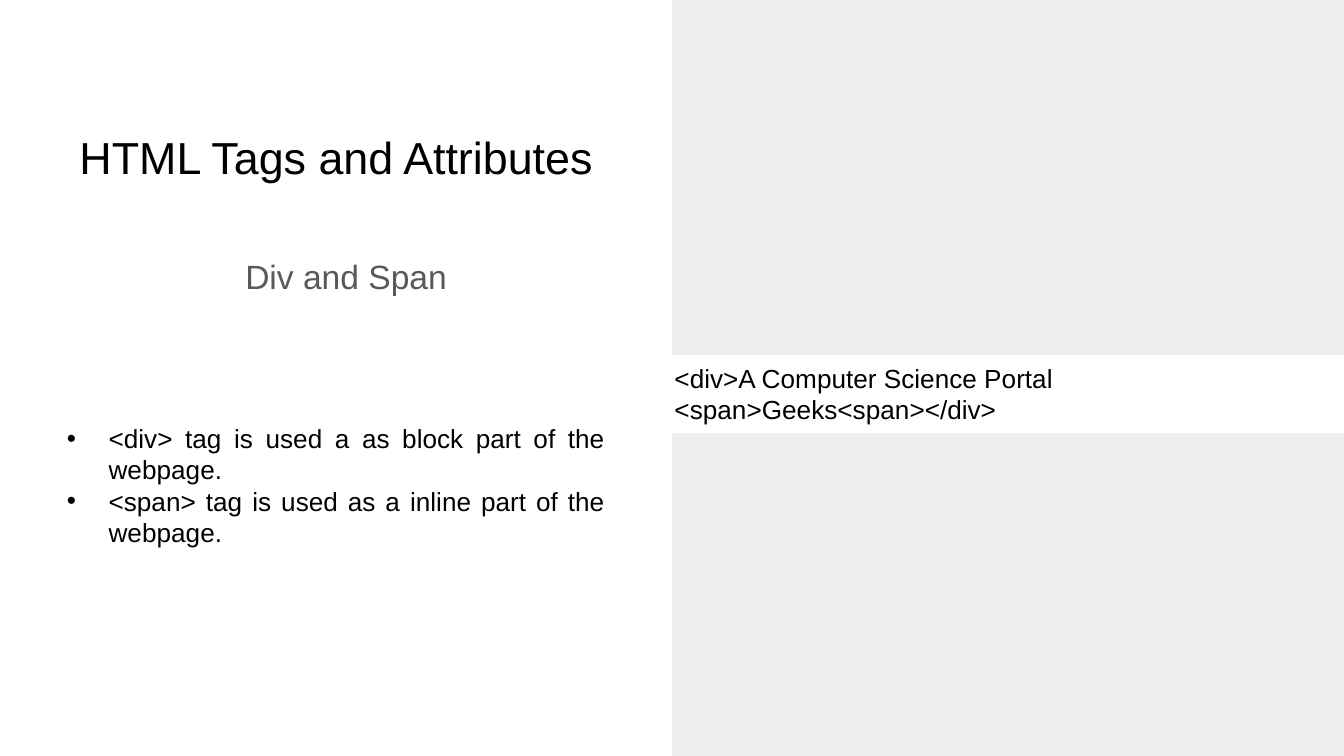
from lxml.etree import SubElement
from pptx import Presentation
from pptx.dml.color import RGBColor
from pptx.enum.shapes import MSO_SHAPE as Shape
from pptx.enum.text import MSO_ANCHOR as Anchor, PP_ALIGN as Align
from pptx.oxml.ns import qn
from pptx.util import Inches, Pt

SLIDE_W, SLIDE_H = Inches(10), Inches(5.625)
BLACK = RGBColor(0x00, 0x00, 0x00)
GREY = RGBColor(0x59, 0x59, 0x59)
PANEL = RGBColor(0xEE, 0xEE, 0xEE)
WHITE = RGBColor(0xFF, 0xFF, 0xFF)
FONT = "Arial"


def within(box, left, top, width, height):
    """Return the part of a box given by shares of its size."""
    x, y, w, h = box
    return (round(x + left * w), round(y + top * h),
            round(width * w), round(height * h))


def add_block(slide, box, fill):
    """Add a plain filled rectangle."""
    block = slide.shapes.add_shape(Shape.RECTANGLE, *box)
    block.shadow.inherit = False
    block.fill.solid()
    block.fill.fore_color.rgb = fill
    block.line.fill.background()
    return block


def add_bullet(paragraph):
    """Give a paragraph a hanging round bullet."""
    props = paragraph._p.get_or_add_pPr()
    props.set("marL", str(Inches(0.31)))
    props.set("indent", str(-Inches(0.31)))
    SubElement(props, qn("a:buFont"), typeface=FONT)
    SubElement(props, qn("a:buChar"), char="•")


def write(frame, lines, size, color=BLACK, align=Align.LEFT,
          anchor=Anchor.TOP, bulleted=False):
    """Write each line as one paragraph of a wrapped text frame."""
    frame.word_wrap = True
    frame.vertical_anchor = anchor
    for index, line in enumerate(lines):
        paragraph = frame.paragraphs[0] if index == 0 else frame.add_paragraph()
        paragraph.alignment = align
        if bulleted:
            add_bullet(paragraph)
        run = paragraph.add_run()
        run.text = line
        run.font.name = FONT
        run.font.size = Pt(size)
        run.font.color.rgb = color


def add_heading(slide, box, wording, size, color, anchor):
    """Add a centred heading without side margins."""
    frame = slide.shapes.add_textbox(*box).text_frame
    frame.margin_left = frame.margin_right = frame.margin_bottom = 0
    frame.margin_top = Inches(0.02)
    write(frame, [wording], size, color, Align.CENTER, anchor)


def add_explanation(slide, box):
    """Place the title, topic and tag descriptions in the left half."""
    add_heading(slide, within(box, 0.06, 0.14, 0.88, 0.13),
                "HTML Tags and Attributes", 24, BLACK, Anchor.MIDDLE)
    add_heading(slide, within(box, 0.36, 0.335, 0.31, 0.06),
                "Div and Span", 18, GREY, Anchor.TOP)
    uses = slide.shapes.add_textbox(*within(box, 0.08, 0.55, 0.84, 0.19))
    write(uses.text_frame,
          ["<div> tag is used a as block part of the webpage.",
           "<span> tag is used as a inline part of the webpage."],
          14, align=Align.JUSTIFY, bulleted=True)


def add_code_panel(slide, box):
    """Place the grey panel and its white code band in the right half."""
    add_block(slide, box, PANEL)
    code = add_block(slide, within(box, -0.016, 0.47, 1.016, 0.103), WHITE)
    write(code.text_frame,
          ["<div>A Computer Science Portal", "<span>Geeks<span></div>"], 14)


def main():
    """Build and save the slide."""
    deck = Presentation()
    deck.slide_width, deck.slide_height = SLIDE_W, SLIDE_H
    slide = deck.slides.add_slide(deck.slide_layouts[6])
    page = (0, 0, SLIDE_W, SLIDE_H)
    add_code_panel(slide, within(page, 0.5, 0, 0.5, 1))
    add_explanation(slide, within(page, 0, 0, 0.5, 1))
    deck.save("out.pptx")


if __name__ == "__main__":
    main()
